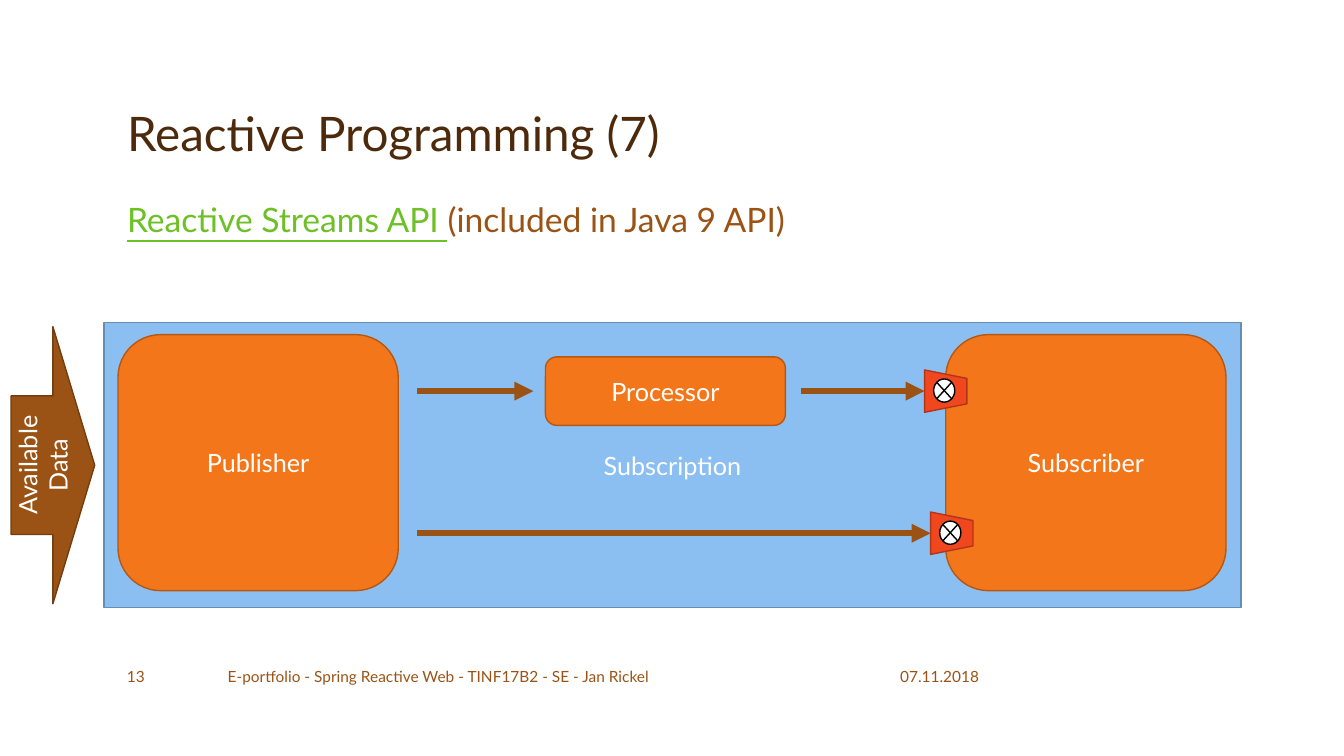
from dataclasses import dataclass

from lxml.etree import SubElement
from pptx import Presentation
from pptx.dml.color import RGBColor
from pptx.enum.shapes import MSO_CONNECTOR, MSO_SHAPE
from pptx.enum.text import MSO_ANCHOR, MSO_AUTO_SIZE, PP_ALIGN
from pptx.oxml.ns import qn
from pptx.util import Inches, Pt

STRAIGHT = MSO_CONNECTOR.STRAIGHT
RECT = MSO_SHAPE.RECTANGLE
ROUNDED = MSO_SHAPE.ROUNDED_RECTANGLE
DOWN_ARROW = MSO_SHAPE.DOWN_ARROW
FUNNEL = MSO_SHAPE.FLOWCHART_MANUAL_OPERATION
JUNCTION = MSO_SHAPE.FLOWCHART_SUMMING_JUNCTION
MIDDLE, BOTTOM, TOP = MSO_ANCHOR.MIDDLE, MSO_ANCHOR.BOTTOM, MSO_ANCHOR.TOP
LEFT, CENTER = PP_ALIGN.LEFT, PP_ALIGN.CENTER
NO_FIT = MSO_AUTO_SIZE.NONE


@dataclass(frozen=True)
class Theme:
    font: str = "Lato"
    title_size: float = 34
    body_size: float = 24
    label_size: float = 18
    footer_size: float = 11
    outline: float = 1
    flow_width: float = 4.5
    title: str = "4D2A0B"
    brown: str = "9A5315"
    brown_edge: str = "723D10"
    link: str = "6DC025"
    blue: str = "8BBEF1"
    blue_edge: str = "678DB2"
    orange: str = "F3771A"
    orange_edge: str = "B45813"
    red: str = "F1471F"
    red_edge: str = "B23517"
    white: str = "FFFFFF"
    black: str = "000000"


@dataclass(frozen=True)
class Block:
    kind: int
    left: float
    top: float
    width: float
    height: float
    fill: str
    edge: str
    label: str = ""
    rotation: float = 0


@dataclass(frozen=True)
class Flow:
    start: float
    end: float
    y: float


@dataclass(frozen=True)
class FooterItem:
    text: str
    left: float
    width: float


THEME = Theme()
MARGIN, CONTENT_WIDTH = 1.16, 11
FOOTER_TOP, FOOTER_HEIGHT = 6.58, 0.25
UPPER_FLOW, LOWER_FLOW = 3.88, 5.29
FLOW_START = 4.14

SUBSCRIPTION = Block(RECT, 1.03, 3.2, 11.28, 2.83, THEME.blue, THEME.blue_edge, "Subscription")
ROLES = [
    Block(ROUNDED, 1.17, 3.32, 2.78, 2.54, THEME.orange, THEME.orange_edge, "Publisher"),
    Block(ROUNDED, 9.38, 3.32, 2.78, 2.54, THEME.orange, THEME.orange_edge, "Subscriber"),
    Block(ROUNDED, 5.41, 3.54, 2.38, 0.68, THEME.orange, THEME.orange_edge, "Processor"),
]
AVAILABLE_DATA = Block(DOWN_ARROW, -0.85, 4.2, 2.75, 0.83, THEME.brown, THEME.brown_edge,
                       "Available Data", 270)
INTO_PROCESSOR = Flow(FLOW_START, 5.29, UPPER_FLOW)
INTO_SUBSCRIBER = [Flow(7.94, 9.17, UPPER_FLOW), Flow(FLOW_START, 9.23, LOWER_FLOW)]
FOOTER = [
    FooterItem("07.11.2018", 8.83, 1.53),
    FooterItem("E-portfolio - Spring Reactive Web - TINF17B2 - SE - Jan Rickel", 2.16, 6.5),
    FooterItem("13", MARGIN, 0.83),
]


def style_run(run, size: float, color: str) -> None:
    run.font.name = THEME.font
    run.font.size = Pt(size)
    run.font.color.rgb = RGBColor.from_string(color)


def place(shape, left: float, top: float, width: float, height: float) -> None:
    shape.left, shape.top = Inches(left), Inches(top)
    shape.width, shape.height = Inches(width), Inches(height)


def add_block(slide, block: Block):
    shape = slide.shapes.add_shape(block.kind, Inches(block.left), Inches(block.top),
                                   Inches(block.width), Inches(block.height))
    shape.rotation = block.rotation
    shape.shadow.inherit = False
    shape.fill.solid()
    shape.fill.fore_color.rgb = RGBColor.from_string(block.fill)
    shape.line.color.rgb = RGBColor.from_string(block.edge)
    shape.line.width = Pt(THEME.outline)
    if block.label:
        shape.text_frame.text = block.label
        shape.text_frame.vertical_anchor = MIDDLE
        paragraph = shape.text_frame.paragraphs[0]
        paragraph.alignment = CENTER
        style_run(paragraph.runs[0], THEME.label_size, THEME.white)
    return shape


def add_flow(slide, flow: Flow) -> None:
    arrow = slide.shapes.add_connector(STRAIGHT, Inches(flow.start), Inches(flow.y),
                                       Inches(flow.end), Inches(flow.y))
    arrow.line.color.rgb = RGBColor.from_string(THEME.brown)
    arrow.line.width = Pt(THEME.flow_width)
    SubElement(arrow.line._get_or_add_ln(), qn("a:tailEnd"), type="triangle")
    SubElement(arrow.element.spPr, qn("a:effectLst"))


def add_valves(slide, flows: list[Flow]) -> None:
    """Put a funnel with a crossed circle at the end of each flow."""
    for flow in flows:
        add_block(slide, Block(FUNNEL, flow.end, flow.y - 0.21, 0.42, 0.42,
                               THEME.red, THEME.red_edge, rotation=270))
    for flow in flows:
        add_block(slide, Block(JUNCTION, flow.end + 0.09, flow.y - 0.12, 0.21, 0.23,
                               THEME.white, THEME.black))


def fill_title(title) -> None:
    place(title, MARGIN, 0.33, CONTENT_WIDTH, 1.33)
    frame = title.text_frame
    frame.text = "Reactive Programming (7)"
    frame.auto_size = NO_FIT
    frame.vertical_anchor = BOTTOM
    heading = frame.paragraphs[0]
    heading.alignment = LEFT
    heading.line_spacing = 0.9
    style_run(heading.runs[0], THEME.title_size, THEME.title)


def fill_body(body) -> None:
    place(body, MARGIN, 1.92, CONTENT_WIDTH, 4.62)
    frame = body.text_frame
    frame.auto_size = NO_FIT
    frame.vertical_anchor = TOP
    statement = frame.paragraphs[0]
    statement.alignment = LEFT
    statement.space_before = Pt(18)
    properties = statement._p.get_or_add_pPr()
    properties.set("marL", "0")
    properties.set("indent", "0")
    SubElement(properties, qn("a:buNone"))
    for text, color, underlined in (("Reactive Streams API ", THEME.link, True),
                                    ("(included in Java 9 API)", THEME.brown, False)):
        run = statement.add_run()
        run.text = text
        run.font.underline = underlined
        style_run(run, THEME.body_size, color)


def add_footer_item(slide, item: FooterItem) -> None:
    box = slide.shapes.add_textbox(Inches(item.left), Inches(FOOTER_TOP),
                                   Inches(item.width), Inches(FOOTER_HEIGHT))
    frame = box.text_frame
    frame.word_wrap = True
    frame.vertical_anchor = MIDDLE
    frame.text = item.text
    style_run(frame.paragraphs[0].runs[0], THEME.footer_size, THEME.brown)


def main() -> None:
    presentation = Presentation()
    presentation.slide_width, presentation.slide_height = Inches(13.33), Inches(7.5)
    slide = presentation.slides.add_slide(presentation.slide_layouts[1])
    title, body = slide.placeholders
    fill_title(title)
    fill_body(body)
    backdrop = add_block(slide, SUBSCRIPTION)
    title.element.addprevious(backdrop.element)
    for item in FOOTER:
        add_footer_item(slide, item)
    for role in ROLES:
        add_block(slide, role)
    for flow in [INTO_PROCESSOR, *INTO_SUBSCRIBER]:
        add_flow(slide, flow)
    add_block(slide, AVAILABLE_DATA)
    add_valves(slide, INTO_SUBSCRIBER)
    presentation.save("out.pptx")


if __name__ == "__main__":
    main()
